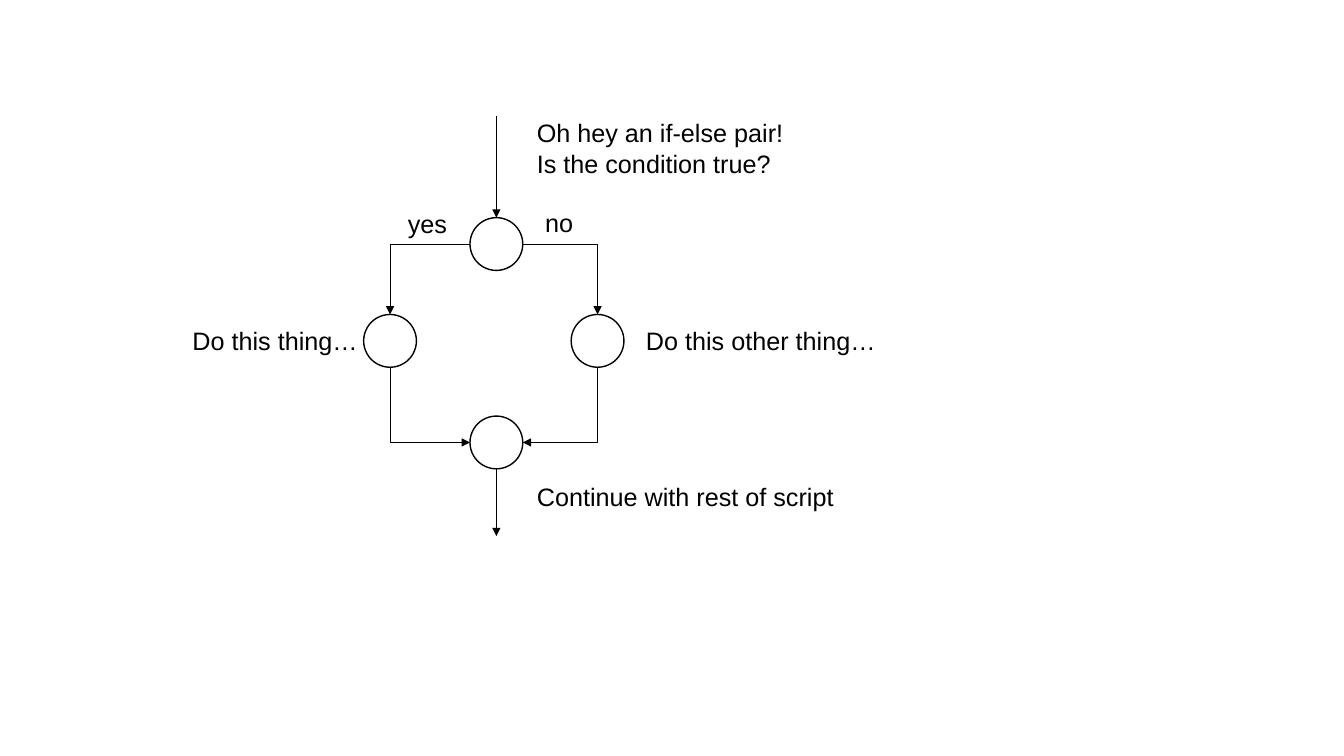
from typing import NamedTuple

from lxml.etree import SubElement
from pptx import Presentation
from pptx.dml.color import RGBColor
from pptx.enum.shapes import MSO_CONNECTOR as ConnectorType, MSO_SHAPE as ShapeType
from pptx.enum.text import MSO_AUTO_SIZE as AutoSize
from pptx.oxml.ns import qn
from pptx.shapes.connector import Connector
from pptx.slide import Slide
from pptx.util import Cm, Pt

BLACK = "000000"
FONT = "Arial"
RADIUS = 0.665
LABEL_HEIGHT = 1.02


class Node(NamedTuple):
    """A circle of the flowchart, by its centre in centimetres."""
    x: float
    y: float

    @property
    def top(self) -> float:
        return self.y - RADIUS

    @property
    def bottom(self) -> float:
        return self.y + RADIUS

    def side_towards(self, other: "Node") -> float:
        return self.x + (RADIUS if other.x > self.x else -RADIUS)


class Label(NamedTuple):
    text: str
    left: float
    top: float
    width: float
    wrap: bool = True


DECISION = Node(12.51, 6.15)
YES_ACTION = Node(9.83, 8.59)
NO_ACTION = Node(15.06, 8.59)
MERGE = Node(12.51, 11.15)
ENTRY_Y, EXIT_Y = 2.92, 13.51

LABELS = [
    Label("Oh hey an if-else pair!", 13.28, 2.84, 6.78, wrap=False),
    Label("Is the condition true?", 13.28, 3.61, 6.45, wrap=False),
    Label("yes", 10.03, 5.13, 1.91),
    Label("no", 13.49, 5.11, 1.91),
    Label("Do this thing…", 4.6, 8.08, 5.89),
    Label("Do this other thing…", 16.03, 8.08, 6.48),
    Label("Continue with rest of script", 13.28, 12.01, 8.08, wrap=False),
]


def colour(value: str) -> RGBColor:
    return RGBColor.from_string(value)


def add_node(slide: Slide, node: Node) -> None:
    shape = slide.shapes.add_shape(
        ShapeType.OVAL, Cm(node.x - RADIUS), Cm(node.top), Cm(2 * RADIUS), Cm(2 * RADIUS)
    )
    shape.shadow.inherit = False
    shape.fill.background()
    shape.line.color.rgb = colour(BLACK)
    shape.line.width = Pt(1)


def add_label(slide: Slide, label: Label) -> None:
    box = slide.shapes.add_textbox(
        Cm(label.left), Cm(label.top), Cm(label.width), Cm(LABEL_HEIGHT)
    )
    frame = box.text_frame
    frame.word_wrap = label.wrap
    frame.auto_size = AutoSize.SHAPE_TO_FIT_TEXT
    run = frame.paragraphs[0].add_run()
    run.text = label.text
    run.font.name = FONT
    run.font.size = Pt(18)
    run.font.color.rgb = colour(BLACK)


def add_arrow(slide: Slide, kind: ConnectorType, start: tuple[float, float],
              end: tuple[float, float], arrowhead: str = "tailEnd") -> Connector:
    connector = slide.shapes.add_connector(
        kind, Cm(start[0]), Cm(start[1]), Cm(end[0]), Cm(end[1])
    )
    connector.line.color.rgb = colour(BLACK)
    connector.line.width = Pt(0.5)
    properties = connector.element.spPr
    SubElement(properties.find(qn("a:ln")), qn(f"a:{arrowhead}"), type="triangle")
    SubElement(properties, qn("a:effectLst"))
    return connector


def add_corner_arrow(slide: Slide, start: tuple[float, float],
                     end: tuple[float, float], arrowhead: str) -> None:
    """Draw one bend: sideways from the start, then vertically to the end."""
    connector = add_arrow(slide, ConnectorType.ELBOW, start, end, arrowhead)
    connector.element.spPr.find(qn("a:prstGeom")).set("prst", "bentConnector2")


def main() -> None:
    presentation = Presentation()
    presentation.slide_width = Cm(33.87)
    presentation.slide_height = Cm(19.05)
    slide = presentation.slides.add_slide(presentation.slide_layouts[6])

    # Circles
    for node in (DECISION, YES_ACTION, NO_ACTION, MERGE):
        add_node(slide, node)

    # Way in and way out
    add_arrow(slide, ConnectorType.STRAIGHT, (DECISION.x, ENTRY_Y), (DECISION.x, DECISION.top))
    add_arrow(slide, ConnectorType.STRAIGHT, (MERGE.x, MERGE.bottom), (MERGE.x, EXIT_Y))

    # Branches: out of the decision, and back into the merge
    for action in (YES_ACTION, NO_ACTION):
        add_corner_arrow(slide, (DECISION.side_towards(action), DECISION.y),
                         (action.x, action.top), "tailEnd")
        add_corner_arrow(slide, (MERGE.side_towards(action), MERGE.y),
                         (action.x, action.bottom), "headEnd")

    # Captions
    for label in LABELS:
        add_label(slide, label)

    presentation.save("out.pptx")


if __name__ == "__main__":
    main()
